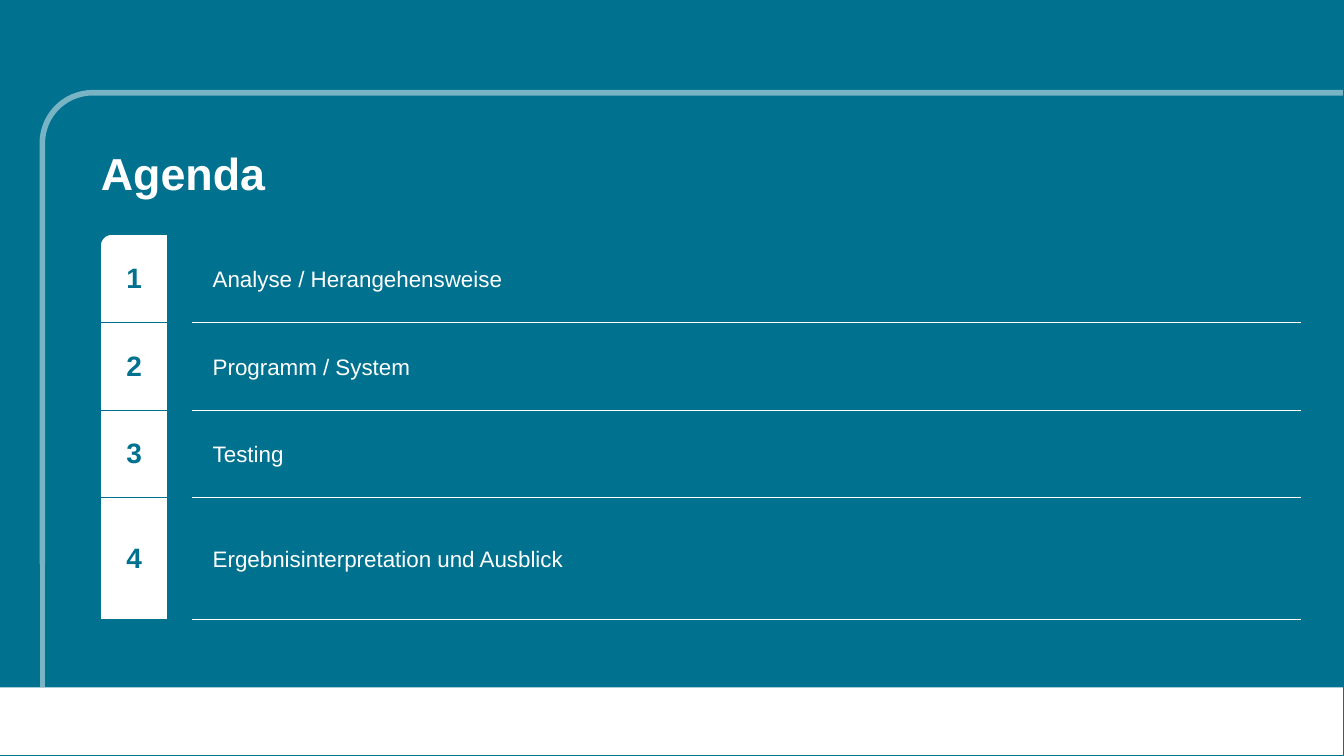
import math

import pptx
import pptx.dml.color
import pptx.enum.shapes
import pptx.enum.text
import pptx.oxml
import pptx.oxml.ns
import pptx.util

PX = 9144
TEAL = pptx.dml.color.RGBColor(0x00, 0x71, 0x8F)
LIGHT_TEAL = pptx.dml.color.RGBColor(0x78, 0xB4, 0xC4)
WHITE = pptx.dml.color.RGBColor(0xFF, 0xFF, 0xFF)
FONT = "Arial"
NO_STYLE = "{2D5ABB26-0587-4C30-8999-92F81FD0307C}"

WIDTH, HEIGHT = 1333, 750
FOOTER_TOP = 682
FRAME_LEFT, FRAME_TOP, FRAME_RADIUS, FRAME_JOIN = 42, 92, 50, 560
AGENDA_LEFT, AGENDA_TOP, CORNER_RADIUS = 100, 233, 11
COLUMN_WIDTHS = (66, 24, 1100)
ROW_HEIGHTS = (87, 87, 87, 121)
TOPICS = (
    "Analyse / Herangehensweise",
    "Programm / System",
    "Testing",
    "Ergebnisinterpretation und Ausblick",
)

MIDDLE = pptx.enum.text.MSO_ANCHOR.MIDDLE
TITLE_FONT = {"name": FONT, "size": pptx.util.Pt(32), "bold": True}
NUMBER_FONT = {"name": FONT, "size": pptx.util.Pt(20), "bold": True}
TOPIC_FONT = {"name": FONT, "size": pptx.util.Pt(16), "bold": False}
NUMBER_PARAGRAPH = {"alignment": pptx.enum.text.PP_ALIGN.CENTER}
TOPIC_PARAGRAPH = {"line_spacing": 1.1, "space_after": pptx.util.Pt(10)}
TITLE_PARAGRAPH = {"alignment": pptx.enum.text.PP_ALIGN.LEFT}


def px(*lengths):
    return [round(length * PX) for length in lengths]


def apply_format(target, values):
    for name, value in values.items():
        setattr(target, name, value)


def margins(horizontal, vertical):
    horizontal, vertical = px(horizontal, vertical)
    return {"margin_left": horizontal, "margin_right": horizontal,
            "margin_top": vertical, "margin_bottom": vertical}


def write_text(text_frame, text, color, font_format, paragraph_format):
    paragraph = text_frame.paragraphs[0]
    apply_format(paragraph, paragraph_format)
    run = paragraph.add_run()
    run.text = text
    apply_format(run.font, font_format)
    run.font.color.rgb = color


def paint(shape, fill=None, line=None, line_width=1):
    shape.shadow.inherit = False
    if fill is None:
        shape.fill.background()
    else:
        shape.fill.solid()
        shape.fill.fore_color.rgb = fill
    if line is None:
        shape.line.fill.background()
    else:
        shape.line.color.rgb = line
        shape.line.width = pptx.util.Pt(line_width)


def add_rectangle(slide, left, top, width, height, **colors):
    kind = pptx.enum.shapes.MSO_SHAPE.RECTANGLE
    shape = slide.shapes.add_shape(kind, *px(left, top, width, height))
    paint(shape, **colors)


def corner_arc(left, top, radius, steps=24):
    angles = [math.pi / 2 * step / steps for step in range(steps + 1)]
    return [(left + radius * (1 - math.sin(angle)),
             top + radius * (1 - math.cos(angle))) for angle in angles]


def add_outline(slide, points, closed, **colors):
    points = [px(*point) for point in points]
    builder = slide.shapes.build_freeform(*points[0])
    builder.add_line_segments(points[1:], close=closed)
    paint(builder.convert_to_shape(), **colors)


def add_line(slide, start, end, color, width):
    kind = pptx.enum.shapes.MSO_CONNECTOR.STRAIGHT
    connector = slide.shapes.add_connector(kind, *px(*start, *end))
    connector.line.color.rgb = color
    connector.line.width = pptx.util.Pt(width)
    properties = connector._element.spPr
    properties.append(pptx.oxml.parse_xml(
        f"<a:effectLst {pptx.oxml.ns.nsdecls('a')}/>"))


def add_border(cell, side, color):
    cell._tc.get_or_add_tcPr().insert(0, pptx.oxml.parse_xml(
        f"<a:ln{side} {pptx.oxml.ns.nsdecls('a')} w='12700'><a:solidFill>"
        f"<a:srgbClr val='{color}'/></a:solidFill></a:ln{side}>"))


def fill_cell(cell, text, color, font_format, paragraph_format, margin, border, sides):
    apply_format(cell, {"vertical_anchor": MIDDLE, **margins(margin, 4)})
    write_text(cell.text_frame, text, color, font_format, paragraph_format)
    for side in sides:
        add_border(cell, side, border)


def add_agenda(slide):
    frame = slide.shapes.add_table(
        len(TOPICS), len(COLUMN_WIDTHS),
        *px(AGENDA_LEFT, AGENDA_TOP, sum(COLUMN_WIDTHS), sum(ROW_HEIGHTS)))
    table = frame.table
    apply_format(table, {"first_row": False, "horz_banding": False})
    table._tbl.tblPr.find(pptx.oxml.ns.qn("a:tableStyleId")).text = NO_STYLE
    for column, width in zip(table.columns, px(*COLUMN_WIDTHS)):
        column.width = width
    for row, height in zip(table.rows, px(*ROW_HEIGHTS)):
        row.height = height
    for index, topic in enumerate(TOPICS):
        number_cell, gap_cell, topic_cell = table.rows[index].cells
        sides = "BT" if index else "B"
        number_cell.fill.solid()
        number_cell.fill.fore_color.rgb = WHITE
        gap_cell.fill.background()
        topic_cell.fill.background()
        fill_cell(number_cell, str(index + 1), TEAL, NUMBER_FONT,
                  NUMBER_PARAGRAPH, 4, TEAL, sides)
        fill_cell(topic_cell, topic, WHITE, TOPIC_FONT,
                  TOPIC_PARAGRAPH, 21, WHITE, sides)


def set_title(slide, text):
    title = slide.shapes.title
    left, top, width, height = px(100, 144, 1102, 54)
    apply_format(title, {"left": left, "top": top, "width": width, "height": height})
    apply_format(title.text_frame, {
        "vertical_anchor": MIDDLE, "word_wrap": True,
        "auto_size": pptx.enum.text.MSO_AUTO_SIZE.NONE, **margins(0, 0)})
    write_text(title.text_frame, text, WHITE, TITLE_FONT, TITLE_PARAGRAPH)


def main():
    presentation = pptx.Presentation()
    presentation.slide_width, presentation.slide_height = px(WIDTH, HEIGHT)
    slide = presentation.slides.add_slide(presentation.slide_layouts[5])
    slide.background.fill.solid()
    slide.background.fill.fore_color.rgb = TEAL

    frame_arc = corner_arc(FRAME_LEFT, FRAME_TOP, FRAME_RADIUS)
    frame_points = [(FRAME_LEFT, FRAME_JOIN), *reversed(frame_arc), (WIDTH, FRAME_TOP)]
    add_outline(slide, frame_points, False, line=LIGHT_TEAL, line_width=4)
    add_line(slide, (FRAME_LEFT, FRAME_JOIN), (FRAME_LEFT, FOOTER_TOP), LIGHT_TEAL, 4)
    add_rectangle(slide, 0, FOOTER_TOP, WIDTH, HEIGHT - FOOTER_TOP, fill=WHITE)
    add_rectangle(slide, 0, 0, WIDTH, HEIGHT, line=TEAL, line_width=0.75)

    set_title(slide, "Agenda")
    add_agenda(slide)
    corner_points = [(AGENDA_LEFT, AGENDA_TOP),
                     *corner_arc(AGENDA_LEFT, AGENDA_TOP, CORNER_RADIUS)]
    add_outline(slide, corner_points, True, fill=TEAL)
    presentation.save("out.pptx")


if __name__ == "__main__":
    main()
